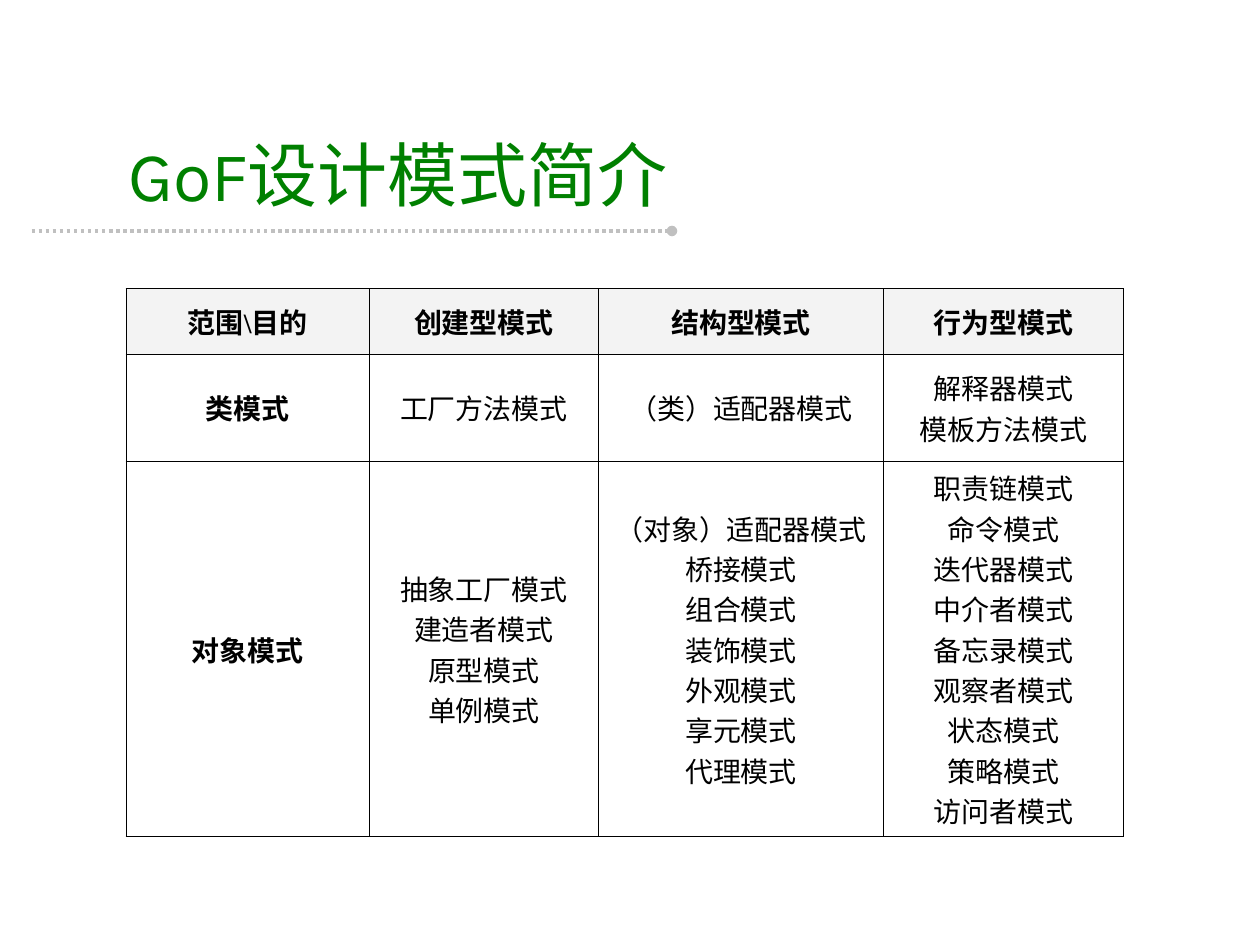
import pptx
import pptx.dml.color
import pptx.enum.dml
import pptx.enum.lang
import pptx.enum.shapes
import pptx.enum.text
import pptx.oxml
import pptx.oxml.ns
import pptx.util

Pt = pptx.util.Pt
CHINESE = pptx.enum.lang.MSO_LANGUAGE_ID.SIMPLIFIED_CHINESE
MIDDLE = pptx.enum.text.MSO_ANCHOR.MIDDLE
NAMESPACE = pptx.oxml.ns.nsdecls("a")


def color(hex_value):
    return pptx.dml.color.RGBColor.from_string(hex_value)


def apply_format(target, values):
    for name, value in values.items():
        setattr(target, name, value)


presentation = pptx.Presentation()
apply_format(presentation, {"slide_width": Pt(720), "slide_height": Pt(540)})
slide = presentation.slides.add_slide(presentation.slide_layouts[5])

underline = slide.shapes.add_connector(
    pptx.enum.shapes.MSO_CONNECTOR.STRAIGHT, Pt(18), Pt(132), Pt(384), Pt(132)
)
underline.line.color.rgb = color("C0C0C0")
apply_format(underline.line, {
    "width": Pt(2),
    "dash_style": pptx.enum.dml.MSO_LINE.ROUND_DOT,
})
underline.line._get_or_add_ln().append(
    pptx.oxml.parse_xml(f'<a:tailEnd {NAMESPACE} type="oval"/>')
)
underline._element.spPr.append(pptx.oxml.parse_xml(f"<a:effectLst {NAMESPACE}/>"))

heading = slide.shapes.title
apply_format(heading, {
    "left": Pt(66), "top": Pt(72), "width": Pt(360), "height": Pt(54),
})
heading.text_frame.text = "GoF设计模式简介"
apply_format(heading.text_frame, {
    "auto_size": pptx.enum.text.MSO_AUTO_SIZE.NONE,
    "vertical_anchor": MIDDLE,
    "word_wrap": True,
})
heading_line = heading.text_frame.paragraphs[0]
heading_line.alignment = pptx.enum.text.PP_ALIGN.LEFT
heading_font = heading_line.runs[0].font
apply_format(heading_font, {"name": "Karla", "size": Pt(40), "language_id": CHINESE})
heading_font.color.rgb = color("008000")

pattern_rows = [
    ["范围\\目的", "创建型模式", "结构型模式", "行为型模式"],
    ["类模式", "工厂方法模式", "（类）适配器模式", "解释器模式\n模板方法模式"],
    [
        "对象模式",
        "抽象工厂模式\n建造者模式\n原型模式\n单例模式",
        "（对象）适配器模式\n桥接模式\n组合模式\n装饰模式\n外观模式\n享元模式\n代理模式",
        "职责链模式\n命令模式\n迭代器模式\n中介者模式\n备忘录模式\n"
        "观察者模式\n状态模式\n策略模式\n访问者模式",
    ],
]
column_widths = [139, 131, 163, 137]
row_heights = [37.5, 61, 180]

patterns = slide.shapes.add_table(
    len(row_heights), len(column_widths),
    Pt(72), Pt(165), Pt(sum(column_widths)), Pt(sum(row_heights)),
).table
apply_format(patterns, {"first_row": False, "horz_banding": False})
for column, width in zip(patterns.columns, column_widths):
    column.width = Pt(width)
for row, height in zip(patterns.rows, row_heights):
    row.height = Pt(height)

for row_index, entries in enumerate(pattern_rows):
    for column_index, entry in enumerate(entries):
        cell = patterns.cell(row_index, column_index)
        cell.text = entry
        cell.vertical_anchor = MIDDLE
        for side in ("lnL", "lnR", "lnT", "lnB"):
            cell._tc.get_or_add_tcPr().append(pptx.oxml.parse_xml(
                f'<a:{side} {NAMESPACE} w="{Pt(0.45)}"><a:solidFill>'
                f'<a:srgbClr val="000000"/></a:solidFill></a:{side}>'
            ))
        cell.fill.solid()
        cell.fill.fore_color.rgb = color("F3F3F3" if row_index == 0 else "FFFFFF")
        for paragraph in cell.text_frame.paragraphs:
            paragraph.alignment = pptx.enum.text.PP_ALIGN.CENTER
            pattern_font = paragraph.runs[0].font
            apply_format(pattern_font, {
                "name": "Times New Roman",
                "size": Pt(16),
                "bold": row_index == 0 or column_index == 0,
                "language_id": CHINESE,
            })
            pattern_font.color.rgb = color("000000")

presentation.save("out.pptx")
